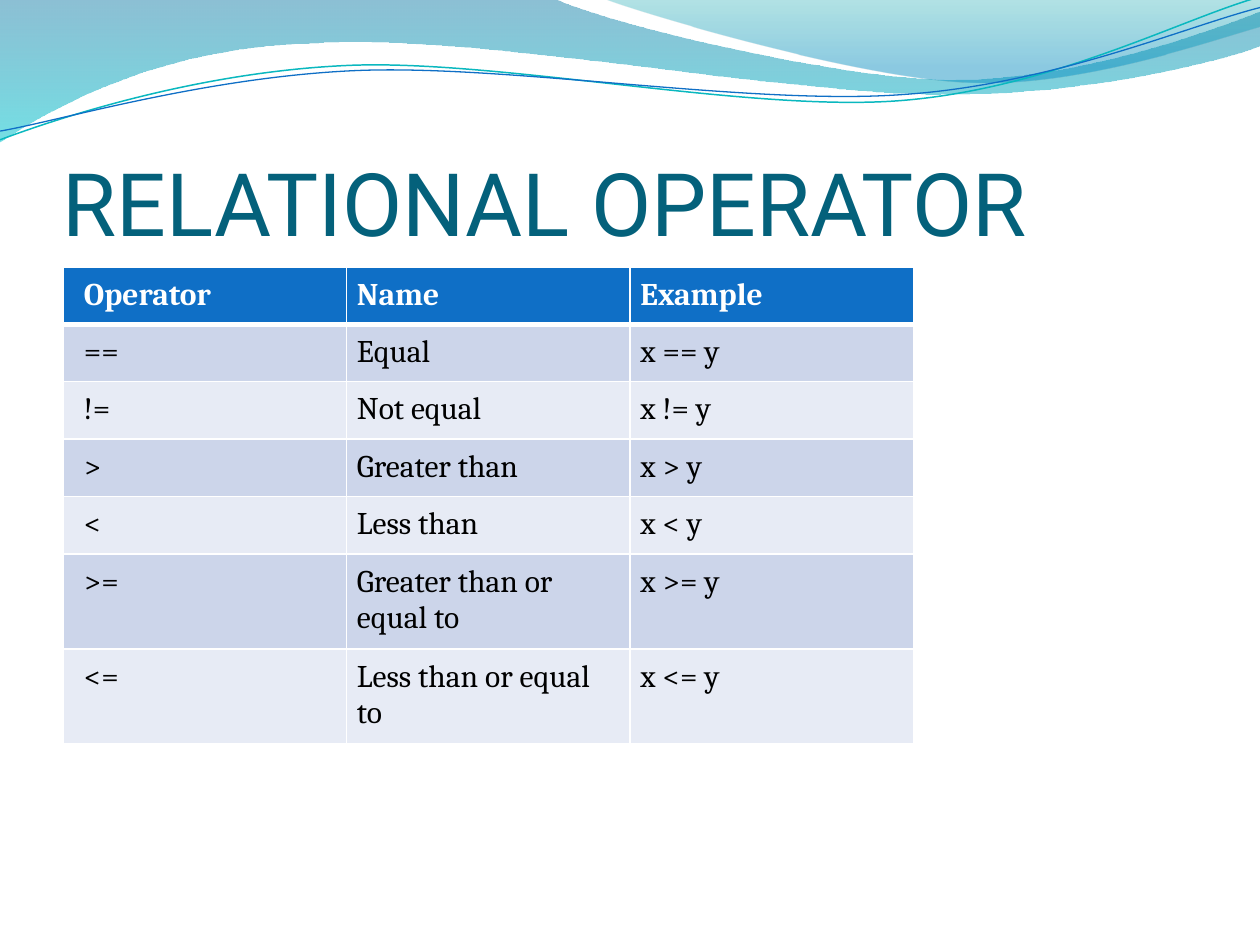
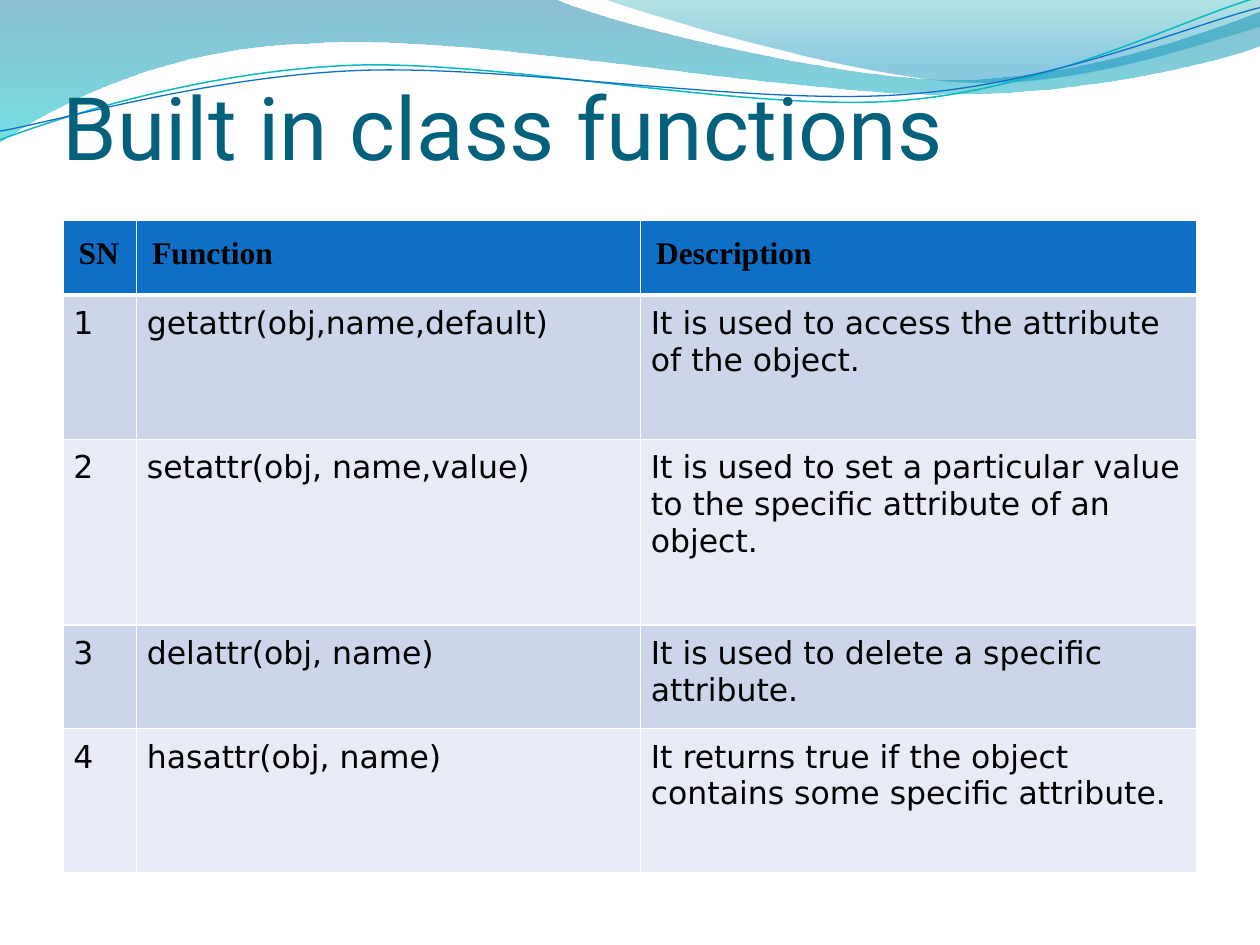
from dataclasses import dataclass
from typing import NamedTuple

from lxml import etree
from pptx import Presentation
from pptx.dml.color import RGBColor
from pptx.enum.text import MSO_ANCHOR
from pptx.oxml.ns import qn
from pptx.util import Pt

BOTTOM = MSO_ANCHOR.BOTTOM
TOP = MSO_ANCHOR.TOP


@dataclass(frozen=True)
class Theme:
    title: str = "04617B"
    head: str = "0F6FC6"
    bands: tuple = ("CCD5EA", "E7EBF5")
    white: str = "FFFFFF"
    ink: str = "000000"
    teal: str = "0AB8BF"
    face: str = "Roboto"
    big: float = 50
    body: float = 18
    thin: float = 1
    thick: float = 3


THEME = Theme()


class Stop(NamedTuple):
    place: float
    color: str
    alpha: int


class Wave(NamedTuple):
    start: tuple
    steps: list  # two numbers for a line, six for a curve
    stops: tuple = ()
    color: str = ""
    width: float = 0


class Style(NamedTuple):
    font: str
    color: str
    bold: bool
    wide: float  # padding at the sides
    tall: float  # padding above and below


class Grid(NamedTuple):
    left: float
    top: float
    cols: list
    rows: list
    head: Style
    body: Style
    lead: float  # extra left padding of the first column
    cells: list


class Page(NamedTuple):
    title: str
    top: float
    height: float
    grid: Grid


# Waves across the top of each slide
WAVES = [
    Wave((0, 0), [
        (316.8, -0.7),
        (342.7, 12.2, 478.1, 45.4, 545.8, 45.4),
        (614.2, 45.4, 689.8, 18.7, 720, 6.5),
        (720.7, 25.9),
        (707.8, 31.7, 626.4, 54.7, 537.1, 54),
        (447.8, 54, 275, 20.2, 185, 24.5),
        (92.9, 25.9, 33.1, 59.8, -0.7, 81.4),
        (0, 0),
    ], stops=(Stop(0, "0074A1", 45), Stop(1, "00C6CF", 55))),
    Wave((344.9, -0.7), [
        (366.5, 7.9, 491, 44.6, 553.7, 46.8),
        (616.3, 49.7, 691.9, 23, 720, 15.1),
        (720, 0),
        (344.9, -0.7),
    ], stops=(Stop(0, "00A1A9", 30), Stop(0.8, "008BBF", 45))),
    Wave((0, 79.9), [
        (34.6, 67, 113.8, 41, 199.4, 37.4),
        (284.4, 33.8, 427, 64.1, 513.4, 57.6),
        (599.8, 51.1, 675.4, 10.8, 718.6, -1.4),
    ], color=THEME.teal, width=0.85),
    Wave((0, 74.9), [
        (33.8, 69.1, 118.1, 43.9, 203.8, 40.3),
        (290.2, 36.7, 429.8, 60.5, 516.2, 54),
        (601.9, 48.2, 677.5, 15.1, 720, 4.3),
    ], color=THEME.head, width=0.75),
]

PAGES = [
    Page("RELATIONAL OPERATOR", 55.4, 90, Grid(
        36, 152.5, [162] * 3, [29.2] * 7,
        Style("Cambria", THEME.white, True, 6, 5.6),
        Style("Cambria", THEME.ink, False, 6, 5.6),
        6,
        [
            ("Operator", "Name", "Example"),
            ("==", "Equal", "x == y"),
            ("!=", "Not equal", "x != y"),
            (">", "Greater than", "x > y"),
            ("<", "Less than", "x < y"),
            (">=", "Greater than or equal to", "x >= y"),
            ("<=", "Less than or equal to", "x <= y"),
        ])),
    Page("Built in class functions", 23.8, 77.8, Grid(
        36, 126, [42, 288, 318], [42.5, 82.6, 106, 59.2, 82.7],
        Style("Times New Roman", THEME.ink, True, 9, 9),
        Style("DejaVu Sans", THEME.ink, False, 6, 6),
        0,
        [
            ("SN", "Function", "Description"),
            ("1", "getattr(obj,name,default)",
             "It is used to access the attribute of the object."),
            ("2", "setattr(obj, name,value)",
             "It is used to set a particular value to the specific "
             "attribute of an object."),
            ("3", "delattr(obj, name)",
             "It is used to delete a specific attribute."),
            ("4", "hasattr(obj, name)",
             "It returns true if the object contains some specific "
             "attribute."),
        ])),
]


def rgb(code: str) -> RGBColor:
    return RGBColor.from_string(code)


def add_run(para, text: str, font: str, size: float, color: str,
            bold: bool = False) -> None:
    run = para.add_run()
    run.text = text
    run.font.name = font
    run.font.size = Pt(size)
    run.font.bold = bold
    run.font.color.rgb = rgb(color)


def bend(shape, steps: list) -> None:
    """Swap straight segments for cubic curves where a step has six numbers."""
    left, top = shape.left, shape.top
    lines = list(shape._element.spPr.iter(qn("a:lnTo")))
    for line, step in zip(lines, steps):
        if len(step) == 2:
            continue
        curve = etree.Element(qn("a:cubicBezTo"))
        for x, y in zip(step[::2], step[1::2]):
            etree.SubElement(curve, qn("a:pt"), x=str(Pt(x) - left),
                             y=str(Pt(y) - top))
        line.getparent().replace(line, curve)


def add_wave(slide, wave: Wave) -> None:
    x, y = wave.start
    pen = slide.shapes.build_freeform(Pt(x), Pt(y))
    ends = [(Pt(step[-2]), Pt(step[-1])) for step in wave.steps]
    pen.add_line_segments(ends, close=bool(wave.stops))
    shape = pen.convert_to_shape()
    bend(shape, wave.steps)
    shape.shadow.inherit = False
    if not wave.stops:
        shape.fill.background()
        shape.line.color.rgb = rgb(wave.color)
        shape.line.width = Pt(wave.width)
        return
    shape.line.fill.background()
    shape.fill.gradient()
    shape.fill.gradient_angle = 270
    for mark, stop in zip(shape.fill.gradient_stops, wave.stops):
        mark.position = stop.place
        mark.color.rgb = rgb(stop.color)
    tints = shape._element.spPr.iter(qn("a:srgbClr"))
    for tint, stop in zip(tints, wave.stops):
        etree.SubElement(tint, qn("a:alpha"), val=str(stop.alpha * 1000))


def add_title(slide, page: Page) -> None:
    box = slide.shapes.add_textbox(Pt(36), Pt(page.top), Pt(648),
                                   Pt(page.height))
    frame = box.text_frame
    frame.word_wrap = True
    frame.vertical_anchor = BOTTOM
    frame.margin_left = frame.margin_right = frame.margin_bottom = 0
    frame.margin_top = Pt(3.6)
    add_run(frame.paragraphs[0], page.title, THEME.face, THEME.big,
            THEME.title)


def add_edges(cell, row: int) -> None:
    """Draw white borders, with a thick rule under the header."""
    thick = {0: "lnB", 1: "lnT"}.get(row)
    props = cell._tc.get_or_add_tcPr()
    for side in ("lnL", "lnR", "lnT", "lnB"):
        width = THEME.thick if side == thick else THEME.thin
        edge = etree.SubElement(props, qn(f"a:{side}"), w=str(Pt(width)))
        fill = etree.SubElement(edge, qn("a:solidFill"))
        etree.SubElement(fill, qn("a:srgbClr"), val=THEME.white)


def add_grid(slide, grid: Grid) -> None:
    table = slide.shapes.add_table(
        len(grid.rows), len(grid.cols), Pt(grid.left), Pt(grid.top),
        Pt(sum(grid.cols)), Pt(sum(grid.rows))).table
    for col, width in zip(table.columns, grid.cols):
        col.width = Pt(width)
    for r, (height, texts) in enumerate(zip(grid.rows, grid.cells)):
        table.rows[r].height = Pt(height)
        style = grid.body if r else grid.head
        color = THEME.bands[(r - 1) % 2] if r else THEME.head
        for c, text in enumerate(texts):
            cell = table.cell(r, c)
            add_edges(cell, r)
            cell.fill.solid()
            cell.fill.fore_color.rgb = rgb(color)
            cell.vertical_anchor = TOP
            cell.margin_top = cell.margin_bottom = Pt(style.tall)
            cell.margin_right = Pt(style.wide)
            cell.margin_left = Pt(style.wide + (0 if c else grid.lead))
            add_run(cell.text_frame.paragraphs[0], text, style.font,
                    THEME.body, style.color, style.bold)


def main() -> None:
    deck = Presentation()
    deck.slide_width = Pt(720)
    deck.slide_height = Pt(540)
    for page in PAGES:
        slide = deck.slides.add_slide(deck.slide_layouts[6])
        for wave in WAVES:
            add_wave(slide, wave)
        add_title(slide, page)
        add_grid(slide, page.grid)
    deck.save("out.pptx")


if __name__ == "__main__":
    main()
